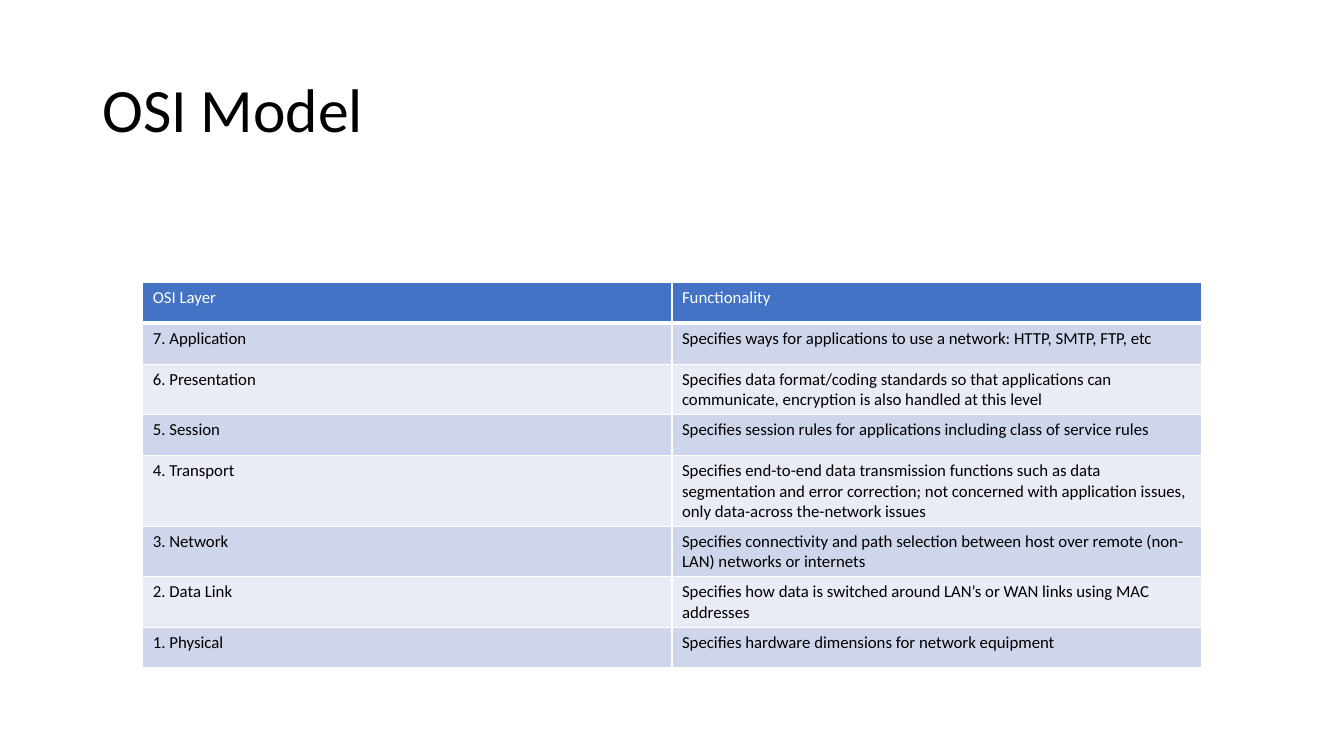
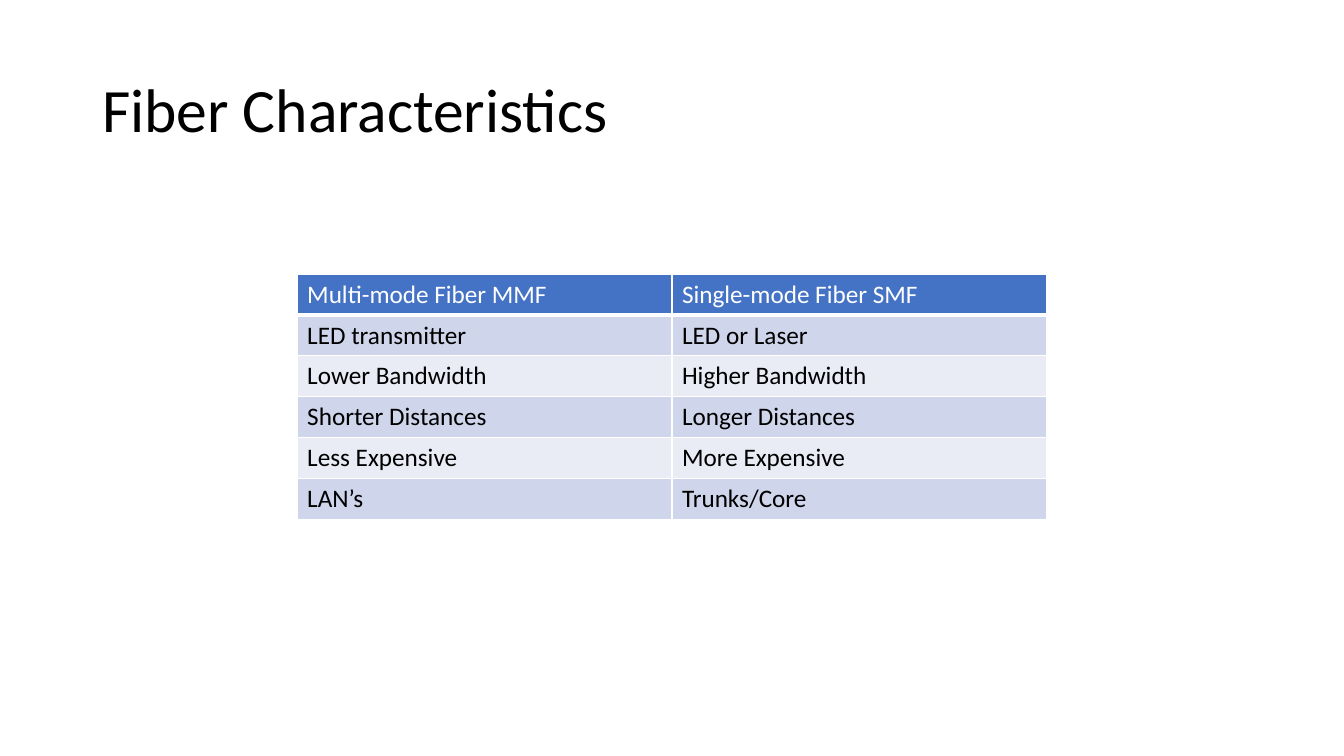
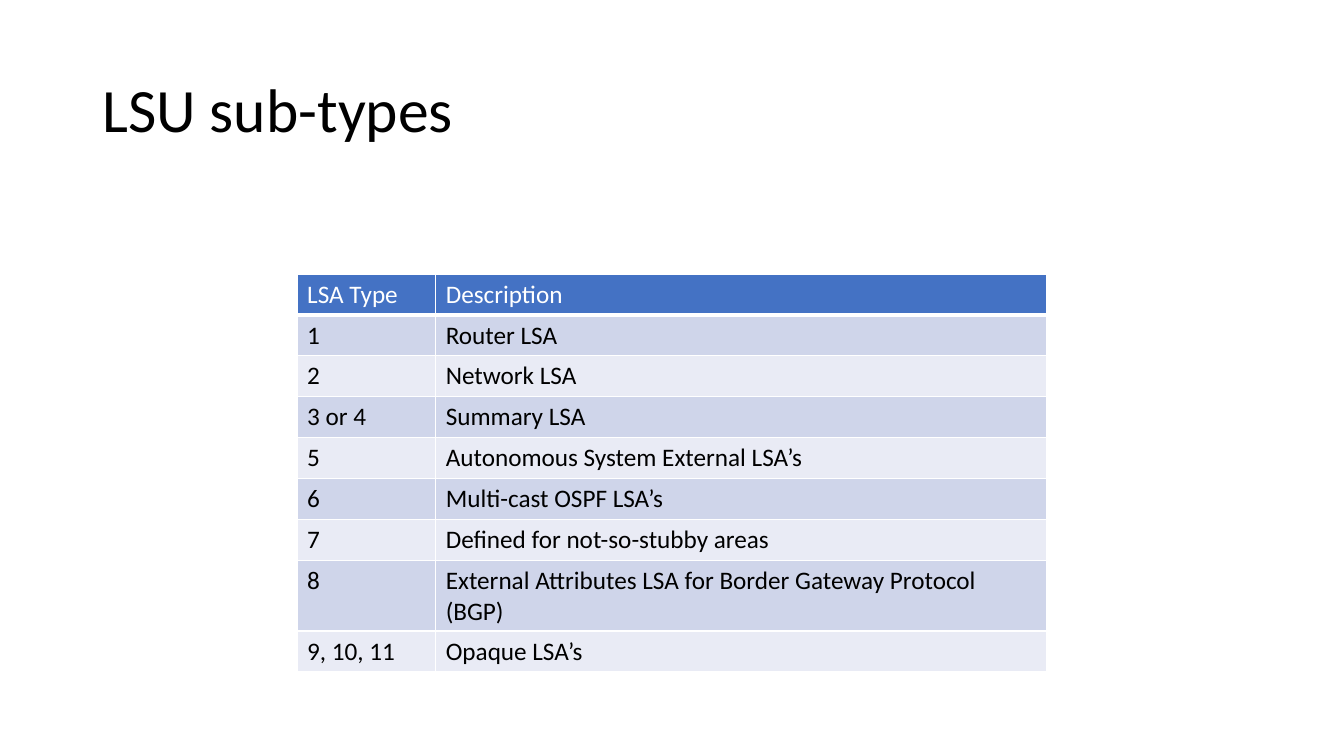
import dataclasses

import lxml.etree
import pptx
import pptx.dml.color
import pptx.enum.text
import pptx.oxml.ns
import pptx.util

EMU_PER_PX = 9525
BLANK_LAYOUT = 6


@dataclasses.dataclass(frozen=True)
class Theme:
    font: str = "Calibri"
    ink: str = "000000"
    paper: str = "FFFFFF"
    header: str = "4472C4"
    bands: tuple = ("CFD5EA", "E9EBF5")
    title_size: int = 44
    table_size: int = 18
    dense_size: int = 12
    rule: int = 1
    header_rule: int = 3


@dataclasses.dataclass(frozen=True)
class Box:
    left: int
    top: int
    width: int
    height: int

    def emu(self):
        return [px(length) for length in dataclasses.astuple(self)]


THEME = Theme()
PAGE = Box(0, 0, 1280, 720)
TITLE = Box(88, 38, 1104, 139)
ROW_HEIGHT = 39

OSI_ROWS = [
    ("OSI Layer", "Functionality"),
    ("7. Application", "Specifies ways for applications to use a network: HTTP, SMTP, FTP, etc"),
    ("6. Presentation", "Specifies data format/coding standards so that applications can communicate, "
                        "encryption is also handled at this level"),
    ("5. Session", "Specifies session rules for applications including class of service rules"),
    ("4. Transport", "Specifies end-to-end data transmission functions such as data segmentation and "
                     "error correction; not concerned with application issues, only data-across "
                     "the-network issues"),
    ("3. Network", "Specifies connectivity and path selection between host over remote (non-LAN) "
                   "networks or internets"),
    ("2. Data Link", "Specifies how data is switched around LAN’s or WAN links using MAC addresses"),
    ("1. Physical", "Specifies hardware dimensions for network equipment"),
]

FIBER_ROWS = [
    ("Multi-mode Fiber MMF", "Single-mode Fiber SMF"),
    ("LED transmitter", "LED or Laser"),
    ("Lower Bandwidth", "Higher Bandwidth"),
    ("Shorter Distances", "Longer Distances"),
    ("Less Expensive", "More Expensive"),
    ("LAN’s", "Trunks/Core"),
]

LSA_ROWS = [
    ("LSA Type", "Description"),
    ("1", "Router LSA"),
    ("2", "Network LSA"),
    ("3 or 4", "Summary LSA"),
    ("5", "Autonomous System External LSA’s"),
    ("6", "Multi-cast OSPF LSA’s"),
    ("7", "Defined for not-so-stubby areas"),
    ("8", "External Attributes LSA for Border Gateway Protocol (BGP)"),
    ("9, 10, 11", "Opaque LSA’s"),
]


def px(length):
    return pptx.util.Emu(length * EMU_PER_PX)


def rgb(colour):
    return pptx.dml.color.RGBColor.from_string(colour)


def style_para(para, size, colour):
    para.font.name = THEME.font
    para.font.size = pptx.util.Pt(size)
    para.font.bold = False
    para.font.color.rgb = rgb(colour)


def add_title(page, box, text):
    frame = page.shapes.add_textbox(*box.emu()).text_frame
    frame.word_wrap = True
    frame.vertical_anchor = pptx.enum.text.MSO_ANCHOR.MIDDLE
    para = frame.paragraphs[0]
    para.text = text
    para.line_spacing = 0.9
    style_para(para, THEME.title_size, THEME.ink)


def add_borders(cell, bottom_width):
    qn = pptx.oxml.ns.qn
    properties = cell._tc.get_or_add_tcPr()
    widths = {"L": THEME.rule, "R": THEME.rule, "T": THEME.rule, "B": bottom_width}
    for side, width in widths.items():
        line = lxml.etree.SubElement(properties, qn(f"a:ln{side}"), w=str(pptx.util.Pt(width)))
        fill = lxml.etree.SubElement(line, qn("a:solidFill"))
        lxml.etree.SubElement(fill, qn("a:srgbClr"), val=THEME.paper)


def style_cell(cell, text, row_index, size):
    is_header = row_index == 0
    add_borders(cell, THEME.header_rule if is_header else THEME.rule)
    cell.fill.solid()
    band = THEME.bands[(row_index - 1) % len(THEME.bands)]
    cell.fill.fore_color.rgb = rgb(THEME.header if is_header else band)
    cell.text = text
    style_para(cell.text_frame.paragraphs[0], size, THEME.paper if is_header else THEME.ink)


def add_grid(page, left, top, column_widths, rows, size):
    box = Box(left, top, sum(column_widths), ROW_HEIGHT * len(rows))
    table = page.shapes.add_table(len(rows), len(column_widths), *box.emu()).table
    table.horz_banding = False
    for column, width in zip(table.columns, column_widths):
        column.width = px(width)
    for row_index, texts in enumerate(rows):
        table.rows[row_index].height = px(ROW_HEIGHT)
        for column_index, text in enumerate(texts):
            style_cell(table.cell(row_index, column_index), text, row_index, size)


def add_table_page(deck, title, left, top, column_widths, rows, size=THEME.table_size):
    page = deck.slides.add_slide(deck.slide_layouts[BLANK_LAYOUT])
    add_title(page, TITLE, title)
    add_grid(page, left, top, column_widths, rows, size)


def main():
    deck = pptx.Presentation()
    deck.slide_width, deck.slide_height = px(PAGE.width), px(PAGE.height)
    add_table_page(deck, "OSI Model", 136, 269, (504, 504), OSI_ROWS, THEME.dense_size)
    add_table_page(deck, "Fiber Characteristics", 283, 261, (357, 357), FIBER_ROWS)
    add_table_page(deck, "LSU sub-types", 283, 261, (132, 582), LSA_ROWS)
    deck.save("out.pptx")


if __name__ == "__main__":
    main()
